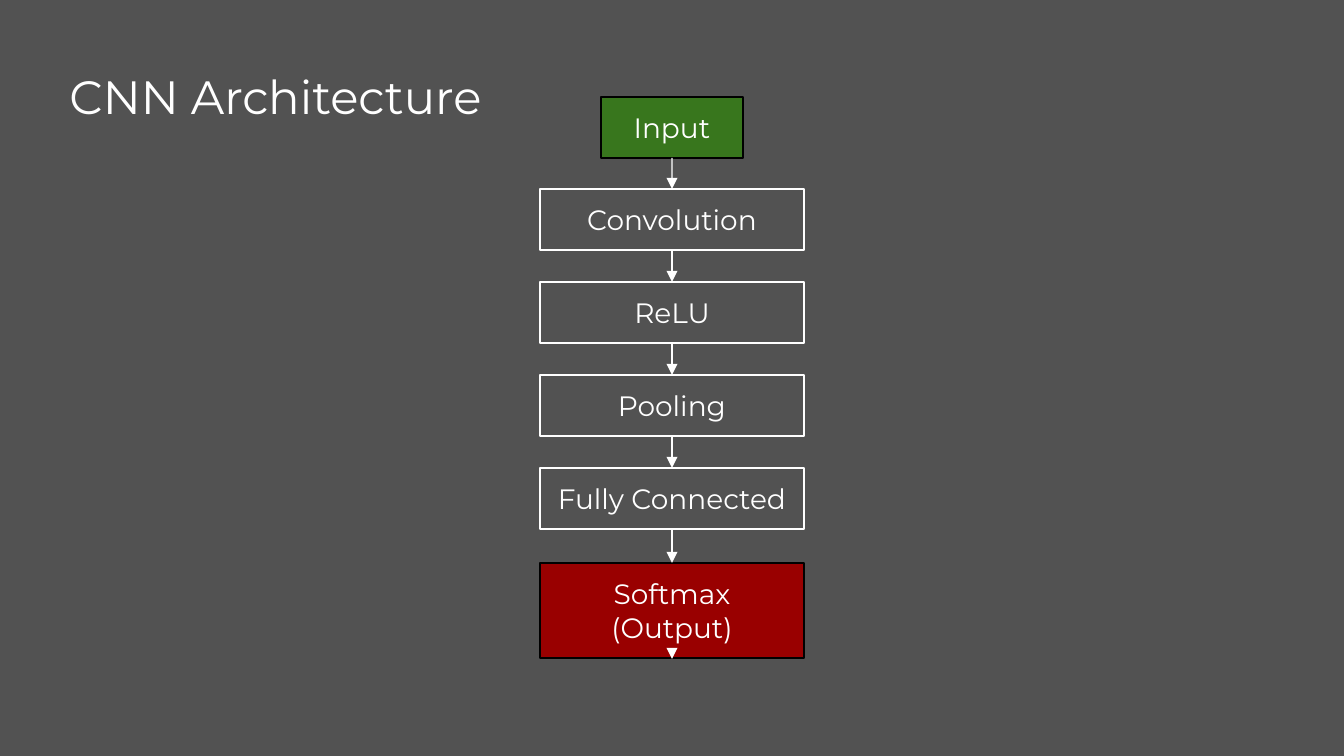
from lxml import etree
from pptx import Presentation
from pptx import util as u
from pptx.dml.color import RGBColor
from pptx.enum import shapes, text
from pptx.oxml.ns import qn

WHITE = RGBColor(0xFF, 0xFF, 0xFF)
BLACK = RGBColor(0x00, 0x00, 0x00)
GREEN = RGBColor(0x38, 0x76, 0x1D)
RED = RGBColor(0x99, 0x00, 0x00)

SLIDE_W, SLIDE_H = 1344, 756
CENTER = SLIDE_W // 2
LAYERS = ["Convolution", "ReLU", "Pooling", "Fully Connected"]


def px(n):
    return u.Emu(round(n * 914400 / 134.4))


class Deck:
    """Style and current slide, with one method per kind of element."""

    font = "Montserrat"
    line_width = u.Pt(0.75)

    def __init__(self):
        self.prs = Presentation()
        self.prs.slide_width, self.prs.slide_height = px(SLIDE_W), px(SLIDE_H)
        self.s = self.prs.slides.add_slide(self.prs.slide_layouts[5])

    def label(self, sp, words, size, align, anchor):
        tf = sp.text_frame
        frame = {"word_wrap": True, "auto_size": text.MSO_AUTO_SIZE.NONE,
                 "vertical_anchor": anchor}
        for side in ("left", "right", "top", "bottom"):
            frame[f"margin_{side}"] = u.Inches(0.1)
        for name, value in frame.items():
            setattr(tf, name, value)
        p = tf.paragraphs[0]
        p.alignment = align
        r = p.add_run()
        r.text = words
        for name, value in {"name": self.font, "size": u.Pt(size)}.items():
            setattr(r.font, name, value)
        r.font.color.rgb = WHITE

    def rect(self, x, y, w, h, fill=None, line=None):
        sp = self.s.shapes.add_shape(shapes.MSO_SHAPE.RECTANGLE,
                                     px(x), px(y), px(w), px(h))
        sp.shadow.inherit = False
        if fill is None:
            sp.fill.background()
        else:
            sp.fill.solid()
            sp.fill.fore_color.rgb = fill
        if line is None:
            sp.line.fill.background()
        else:
            sp.line.color.rgb = line
            sp.line.width = self.line_width
        return sp

    def shade(self, opacity):
        """Darken the whole slide with translucent black."""
        sp = self.rect(0, 0, SLIDE_W, SLIDE_H, BLACK)
        color = sp._element.spPr.find(qn("a:solidFill"))[0]
        etree.SubElement(color, qn("a:alpha"), val=str(opacity * 1000))

    def title(self, words, x, y, w, h):
        sp = self.s.shapes.title
        sp.left, sp.top, sp.width, sp.height = map(px, (x, y, w, h))
        self.label(sp, words, 25, text.PP_ALIGN.LEFT, text.MSO_ANCHOR.TOP)
        self.s.shapes._spTree.append(sp._element)  # bring to front

    def box(self, words, y, w=264, h=61, fill=None, line=WHITE):
        sp = self.rect(CENTER - w // 2, y, w, h, fill, line)
        self.label(sp, words, 15, text.PP_ALIGN.CENTER, text.MSO_ANCHOR.MIDDLE)
        return sp

    def arrow(self, start, end=None):
        """Point down from one box to the next, or just past the last box."""
        x, y = px(CENTER), start.top + start.height
        c = self.s.shapes.add_connector(shapes.MSO_CONNECTOR.STRAIGHT,
                                        x, y, x, y + px(1))
        c.begin_connect(start, 2)
        if end is not None:
            c.end_connect(end, 0)
        c.line.color.rgb = WHITE
        c.line.width = self.line_width
        ln = c._element.spPr.find(qn("a:ln"))
        etree.SubElement(ln, qn("a:tailEnd"), type="triangle")
        etree.SubElement(c._element.spPr, qn("a:effectLst"))


def main():
    deck = Deck()
    deck.shade(68)
    tops = [97 + i * 371 // 4 for i in range(len(LAYERS) + 1)]
    boxes = [deck.box("Input", tops[0], w=142, fill=GREEN, line=BLACK)]
    boxes += [deck.box(name, y) for name, y in zip(LAYERS, tops[1:])]
    boxes.append(deck.box("Softmax (Output)", 563, h=95, fill=RED, line=BLACK))
    for start, end in zip(boxes, boxes[1:] + [None]):
        deck.arrow(start, end)
    deck.title("CNN Architecture", 56, 54, 480, 83)
    deck.prs.save("out.pptx")


if __name__ == "__main__":
    main()
